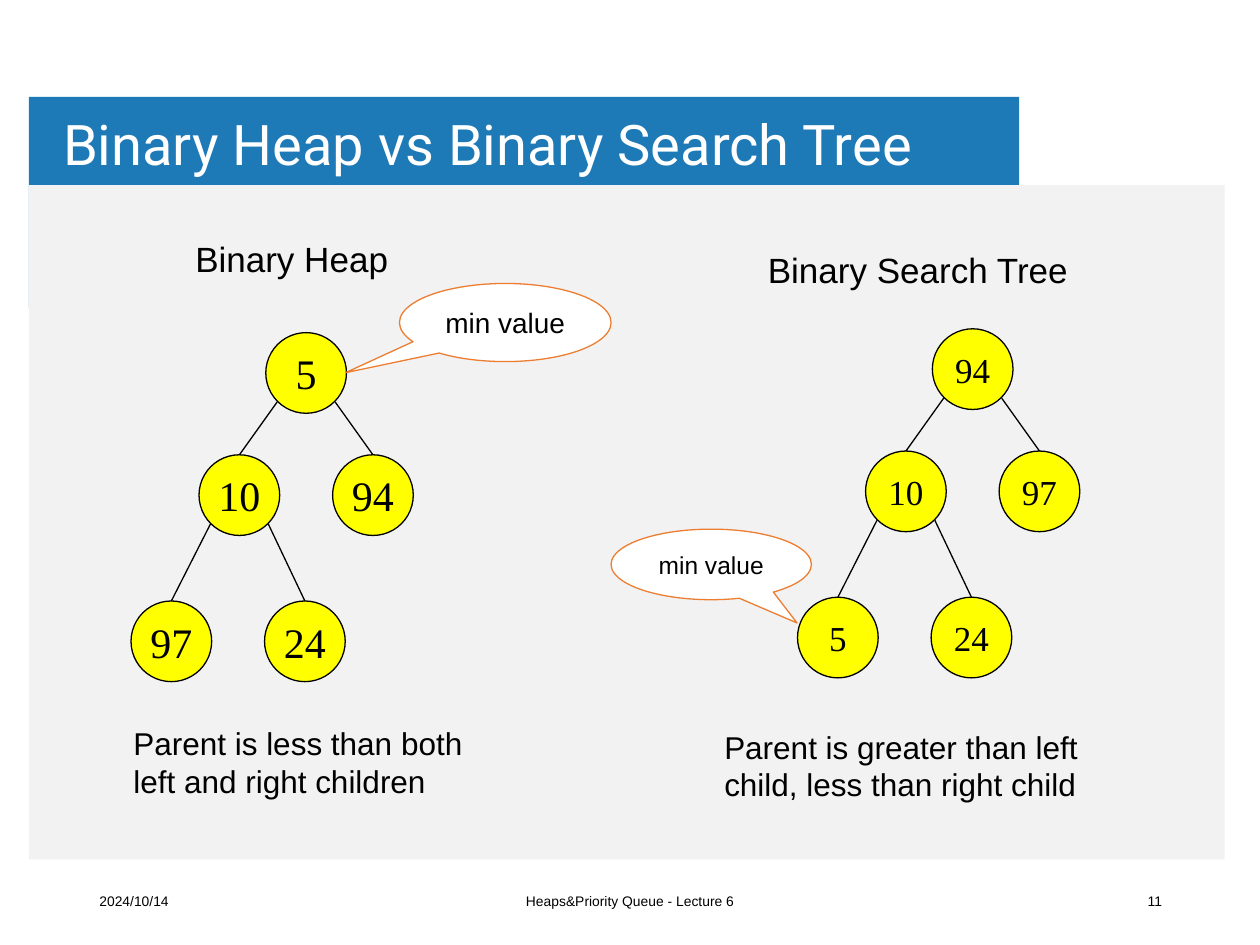
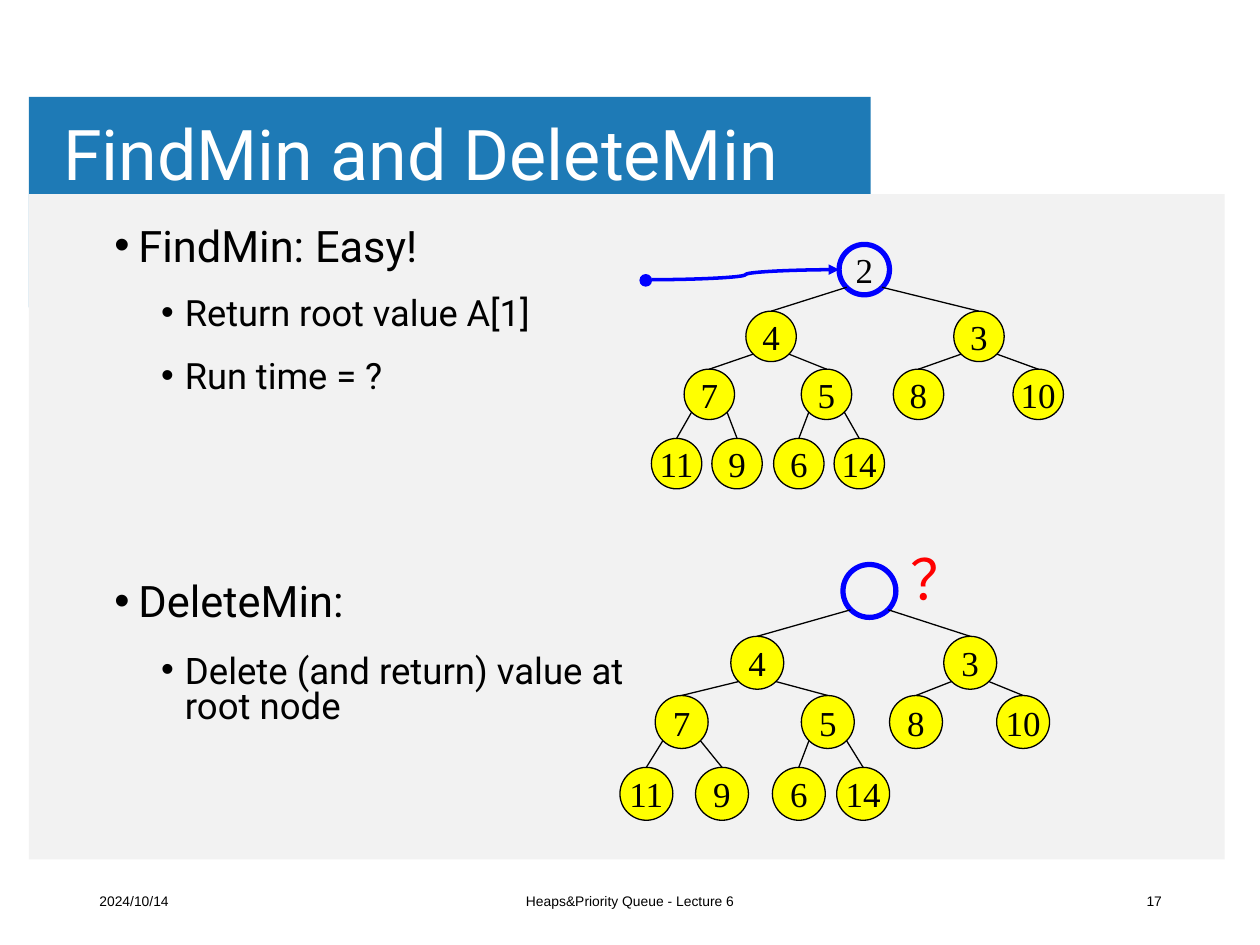
from dataclasses import dataclass

from lxml import etree
from pptx import Presentation
from pptx.dml.color import RGBColor
from pptx.enum.shapes import MSO_CONNECTOR, MSO_SHAPE
from pptx.enum.text import MSO_ANCHOR, PP_ALIGN
from pptx.oxml.ns import qn
from pptx.util import Pt

PX = 9144  # EMU per px, 100 px to the inch

RECT, OVAL = MSO_SHAPE.RECTANGLE, MSO_SHAPE.OVAL
CALLOUT = MSO_SHAPE.OVAL_CALLOUT
STRAIGHT, CURVE = MSO_CONNECTOR.STRAIGHT, MSO_CONNECTOR.CURVE
LEFT, CENTER, RIGHT = PP_ALIGN.LEFT, PP_ALIGN.CENTER, PP_ALIGN.RIGHT
TOP, MIDDLE = MSO_ANCHOR.TOP, MSO_ANCHOR.MIDDLE

BAND_BLUE, PANEL_GREY = "1E7AB6", "F2F2F2"
BLACK, WHITE, RED = "000000", "FFFFFF", "FF0000"
NODE_YELLOW, ROOT_BLUE, CALLOUT_ORANGE = "FFFF00", "0000FF", "ED7D31"
SANS, TITLE_FONT, NODE_FONT = "Arial", "Roboto", "Times New Roman"

Box = tuple[int, int, int, int]


@dataclass
class Tree:
    """Nodes in level order: the parent of node i is node (i - 1) // 2."""
    values: list[str]
    lefts: list[int]
    level_tops: list[int]
    size: int
    pt: int = 20
    marked_root: bool = False


@dataclass
class Callout:
    box: Box
    tip: tuple[float, float]
    pt: int


@dataclass
class Label:
    text: str
    box: Box
    pt: float
    align: int = LEFT
    font: str = SANS
    color: str = BLACK
    anchor: int = MIDDLE


@dataclass
class Bullet:
    text: str
    level: int
    pt: float
    before: float


# ---- Content -------------------------------------------------------------
SMALL_LEFTS = [0, -53, 53, -107, -1]
SMALL_LEVELS = [0, 97, 213]


def small_tree(x: int, y: int, values: str, pt: int) -> Tree:
    return Tree(values.split(), [x + dx for dx in SMALL_LEFTS],
                [y + dy for dy in SMALL_LEVELS], 64, pt)


HEAP = small_tree(211, 264, "5 10 94 97 24", 24)
SEARCH_TREE = small_tree(740, 261, "94 10 97 5 24", 20)
CALLOUTS = [Callout((317, 225, 168, 62), (-0.755, 0.642), 16),
            Callout((485, 420, 159, 56), (0.428, 0.83), 14)]
LABELS = [
    Label("Binary Heap", (129, 183, 205, 44), 20, CENTER),
    Label("Binary Search Tree", (578, 192, 301, 44), 20, CENTER),
    Label("Parent is less than both\nleft and right children",
          (96, 569, 310, 71), 18),
    Label("Parent is greater than left\nchild, less than right child",
          (565, 572, 334, 71), 18),
]

CHILDREN = "4 3 7 5 8 10 11 9 6 14".split()
FIND_MIN = Tree(["2", *CHILDREN],
                [666, 592, 757, 543, 636, 709, 804, 517, 565, 614, 662],
                [194, 247, 293, 348], 40, marked_root=True)
DELETE_MIN = Tree(["", *CHILDREN],
                  [669, 580, 749, 520, 636, 706, 791, 492, 552, 613, 664],
                  [448, 505, 552, 609], 42, marked_root=True)
QUESTION = Label("？", (713, 427, 30, 64), 32, font=TITLE_FONT, color=RED,
                 anchor=TOP)
BULLETS = [
    Bullet("FindMin: Easy!", 0, 24.8, 0),
    Bullet("Return root value A[1]", 1, 20.7, 16),
    Bullet("Run time = ?", 1, 20.7, 16),
    Bullet("DeleteMin:", 0, 24.8, 107.5),
    Bullet("Delete (and return) value at root node", 1, 20.9, 17),
]


# ---- Drawing helpers -----------------------------------------------------
def rgb(color: str) -> RGBColor:
    return RGBColor.from_string(color)


def emu(*lengths: int) -> list[int]:
    return [n * PX for n in lengths]


def style_font(font, pt: float, name: str = SANS, color: str = BLACK) -> None:
    font.size, font.name = Pt(pt), name
    font.color.rgb = rgb(color)


def write(tf, text: str, *, pt: float, font: str = SANS, color: str = BLACK,
          align=LEFT, anchor=MIDDLE, wrap: bool = True) -> None:
    tf.word_wrap, tf.vertical_anchor = wrap, anchor
    for i, line in enumerate(text.split("\n")):
        p = tf.add_paragraph() if i else tf.paragraphs[0]
        p.alignment = align
        r = p.add_run()
        r.text = line
        style_font(r.font, pt, font, color)


def add_label(s, label: Label) -> None:
    tf = s.shapes.add_textbox(*emu(*label.box)).text_frame
    write(tf, label.text, pt=label.pt, font=label.font, color=label.color,
          align=label.align, anchor=label.anchor)


def add_shape(s, kind, box: Box, fill: str | None = None,
              line: str | None = None, width: float = 0.75):
    sp = s.shapes.add_shape(kind, *emu(*box))
    sp.shadow.inherit = False
    if fill:
        sp.fill.solid()
        sp.fill.fore_color.rgb = rgb(fill)
    else:
        sp.fill.background()
    if line:
        sp.line.color.rgb = rgb(line)
        sp.line.width = Pt(width)
    else:
        sp.line.fill.background()
    return sp


def add_line(s, kind, x1: int, y1: int, x2: int, y2: int,
             color: str = BLACK, width: float = 0.75):
    cx = s.shapes.add_connector(kind, *emu(x1, y1, x2, y2))
    cx.line.color.rgb = rgb(color)
    cx.line.width = Pt(width)
    etree.SubElement(cx.element.spPr, qn("a:effectLst"))
    return cx


def add_tree(s, tree: Tree) -> None:
    nodes = []
    for i, (value, x) in enumerate(zip(tree.values, tree.lefts)):
        level = (i + 1).bit_length() - 1
        y = tree.level_tops[level]
        box = (x, y, tree.size, tree.size)
        if i == 0 and tree.marked_root:
            node = add_shape(s, OVAL, box, None, ROOT_BLUE, 3)
        else:
            node = add_shape(s, OVAL, box, NODE_YELLOW, BLACK)
        if value:
            write(node.text_frame, value, pt=tree.pt, font=NODE_FONT,
                  align=CENTER, wrap=False)
        nodes.append(node)
        if i:
            # Leave the parent at 45 degrees, left child first
            side = 0.146 if i % 2 else 0.854
            x1 = round(tree.lefts[(i - 1) // 2] + side * tree.size)
            y1 = round(tree.level_tops[level - 1] + 0.854 * tree.size)
            edge = add_line(s, STRAIGHT, x1, y1, x + tree.size // 2, y)
            edge.end_connect(node, 0)


def add_callout(s, callout: Callout) -> None:
    sp = add_shape(s, CALLOUT, callout.box, WHITE, CALLOUT_ORANGE)
    for i, value in enumerate(callout.tip):
        sp.adjustments[i] = value
    write(sp.text_frame, "min value", pt=callout.pt, align=CENTER, wrap=False)


def add_bullets(s, box: Box, bullets: list[Bullet]) -> None:
    tf = s.shapes.add_textbox(*emu(*box)).text_frame
    tf.word_wrap = True
    for i, bullet in enumerate(bullets):
        p = tf.add_paragraph() if i else tf.paragraphs[0]
        p.level = bullet.level
        p.line_spacing = 0.8
        p.space_before = Pt(bullet.before)
        pPr = p._p.get_or_add_pPr()
        pPr.set("marL", str((19 + 37 * bullet.level) * PX))
        pPr.set("indent", str(-19 * PX))
        etree.SubElement(pPr, qn("a:buFont"), typeface=SANS)
        etree.SubElement(pPr, qn("a:buChar"), char="•")
        r = p.add_run()
        r.text = bullet.text
        style_font(r.font, bullet.pt, TITLE_FONT)


def add_slide(prs, title: str, pt: int, number: int, *, title_top: int,
              band_width: int, panel_top: int):
    """Slide with blue title band, grey panel and footer."""
    s = prs.slides.add_slide(prs.slide_layouts[5])
    add_shape(s, RECT, (23, 77, band_width, 167), BAND_BLUE)
    panel = add_shape(s, RECT, (23, panel_top, 949, 682 - panel_top),
                      PANEL_GREY)

    sp = s.shapes.title
    panel.element.addnext(sp.element)
    sp.left, sp.top, sp.width, sp.height = emu(43, title_top, 803, 98)
    tf = sp.text_frame
    tf.margin_left = tf.margin_right = 7 * PX
    tf.margin_top = tf.margin_bottom = 4 * PX
    write(tf, title, pt=pt, font=TITLE_FONT, color=WHITE)
    tf.paragraphs[0].line_spacing = 0.9

    for text, x, width, align in (
            ("2024/10/14", 69, 225, LEFT),
            ("Heaps&Priority Queue - Lecture 6", 331, 338, CENTER),
            (str(number), 707, 225, RIGHT)):
        add_label(s, Label(text, (x, 695, width, 40), 7.9, align))
    return s


# ---- Slides --------------------------------------------------------------
def comparison_slide(prs) -> None:
    s = add_slide(prs, "Binary Heap vs Binary Search Tree", 32, 11,
                  title_top=68, band_width=786, panel_top=147)
    for label in LABELS:
        add_label(s, label)
    for tree in (HEAP, SEARCH_TREE):
        add_tree(s, tree)
    for callout in CALLOUTS:
        add_callout(s, callout)


def operations_slide(prs) -> None:
    s = add_slide(prs, "FindMin and DeleteMin", 40, 17,
                  title_top=76, band_width=668, panel_top=154)
    add_bullets(s, (81, 177, 452, 455), BULLETS)
    for tree in (FIND_MIN, DELETE_MIN):
        add_tree(s, tree)

    # Pointer to the minimum
    add_shape(s, OVAL, (508, 218, 9, 9), ROOT_BLUE, ROOT_BLUE)
    pointer = add_line(s, CURVE, 517, 222, 666, 214, ROOT_BLUE, 2)
    etree.SubElement(pointer.line._get_or_add_ln(), qn("a:tailEnd"),
                     type="triangle")
    add_label(s, QUESTION)


def main() -> None:
    prs = Presentation()
    prs.slide_width, prs.slide_height = emu(1000, 750)
    comparison_slide(prs)
    operations_slide(prs)
    prs.save("out.pptx")


if __name__ == "__main__":
    main()
